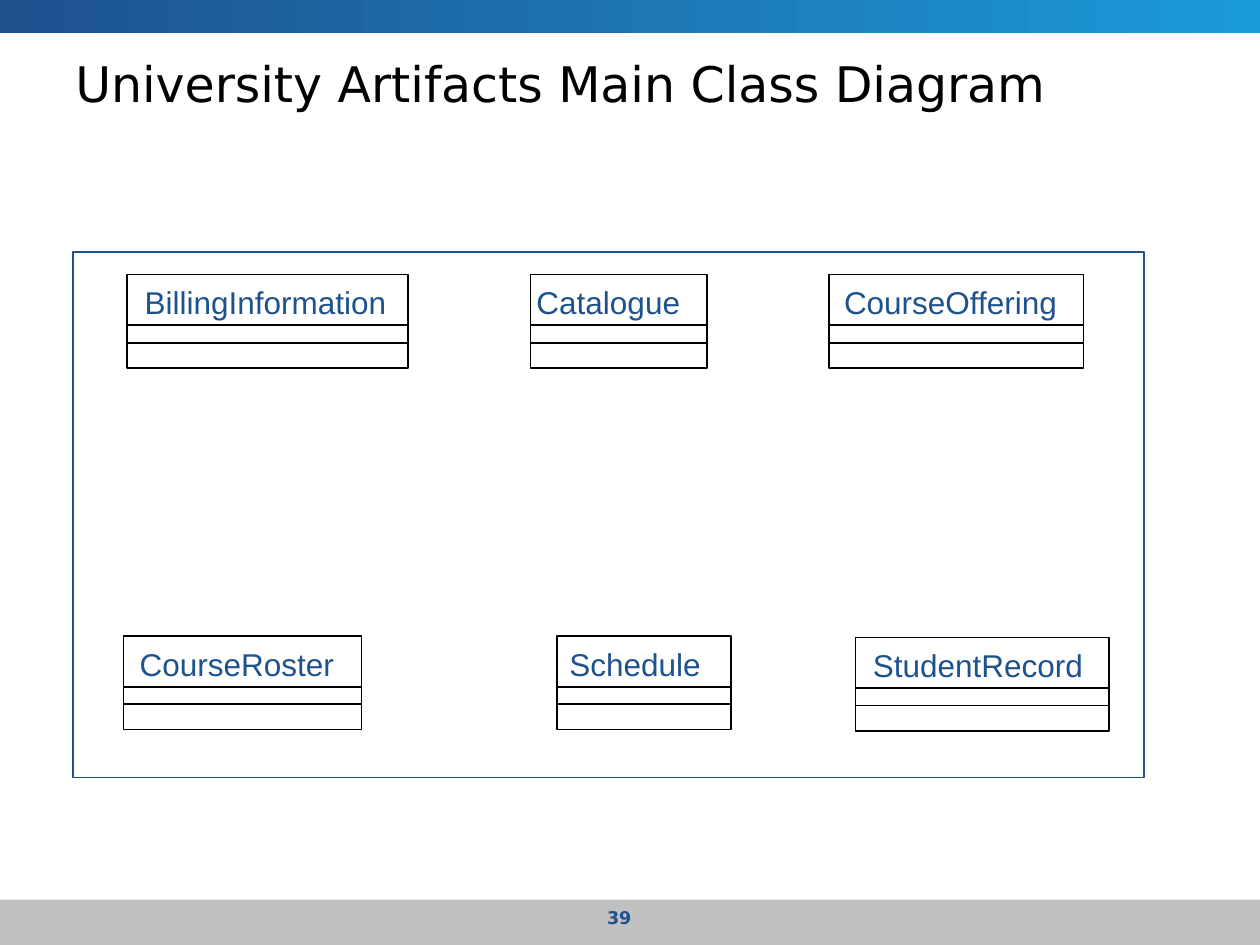
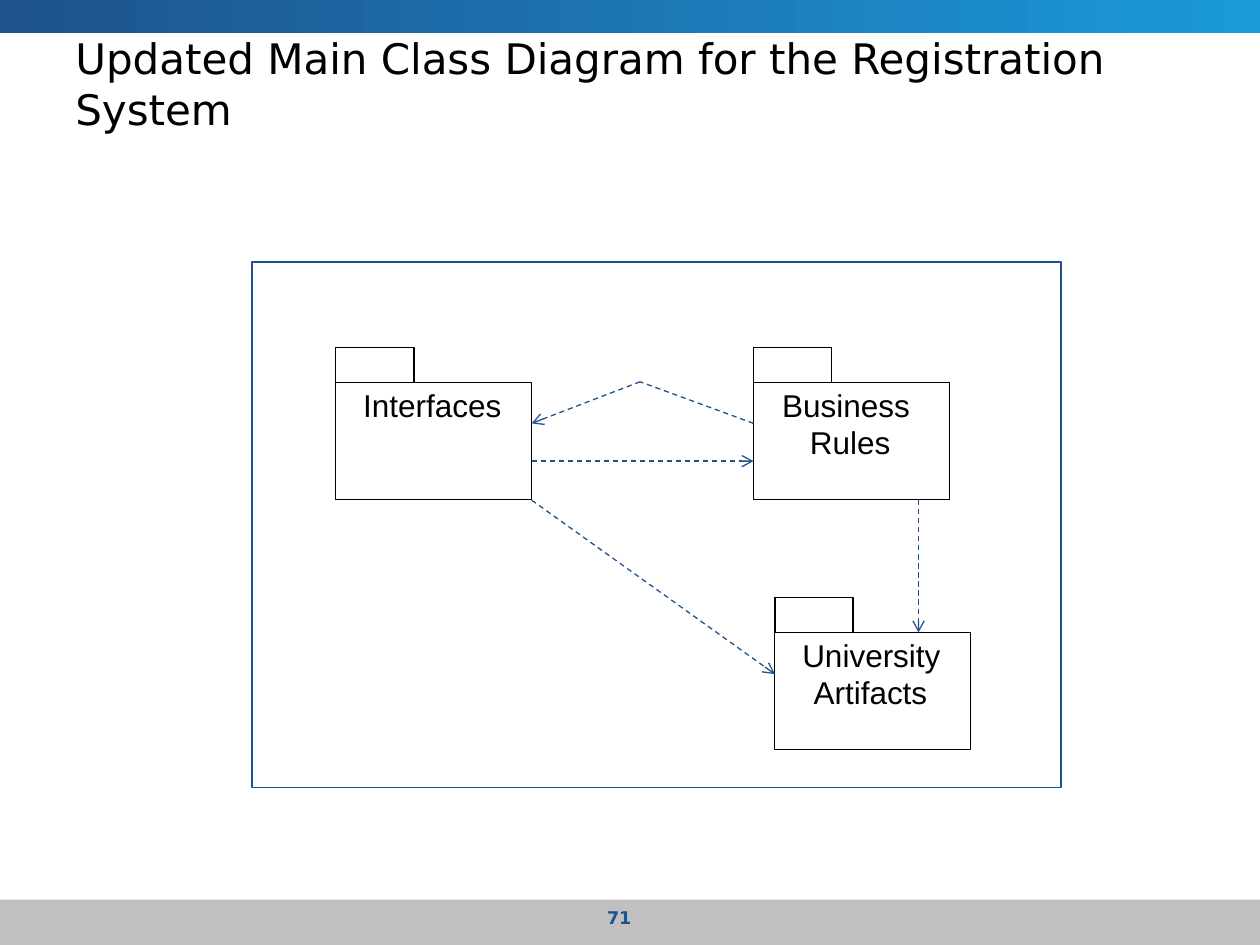
from dataclasses import dataclass

from lxml.etree import SubElement
from pptx import Presentation
from pptx.dml.color import RGBColor as RGB
from pptx.enum.dml import MSO_LINE
from pptx.enum.shapes import MSO_CONNECTOR, MSO_SHAPE
from pptx.enum.text import MSO_ANCHOR as ANCHOR, MSO_AUTO_SIZE as AUTO, PP_ALIGN as ALIGN
from pptx.oxml.ns import qn
from pptx.util import Inches, Pt

COLORS = {"navy": "1D528D", "sky": "1B9AD9", "black": "000000", "white": "FFFFFF", "gray": "C0C0C0"}
HEAD_FONT, BODY_FONT = "DejaVu Sans", "Arial"
COLS, ROWS = 100, 75
WIDTH, HEIGHT = Inches(10), Inches(7.5)
FRAME_H = 41.7
CLASS_H, CLASS_LABEL_H, CLASS_DIVIDERS = 7.4, 4, (4, 5.4)
BODY_W, BODY_H = 15.55, 9.3
TAB_W, TAB_H = 6.2, 2.8
LINE_H, LINE_PITCH = 3, 2.9


@dataclass(frozen=True)
class Box:
    """A rectangle in grid columns and rows."""
    x: float
    y: float
    w: float
    h: float


@dataclass(frozen=True)
class UmlClass:
    """A class box with its name and the indent of that name."""
    name: str
    x: float
    y: float
    w: float
    indent: float
    label_w: float


@dataclass(frozen=True)
class Package:
    """A package body with the words of its name and their widths."""
    x: float
    y: float
    words: tuple[tuple[str, float], ...]


@dataclass(frozen=True)
class Dependency:
    """A dashed line from one grid point to another."""
    start: tuple[float, float]
    end: tuple[float, float]
    arrow: bool = True


CLASSES = (
    UmlClass("BillingInformation", 10.1, 21.8, 22.3, 0.4, 21.4),
    UmlClass("Catalogue", 42.1, 21.8, 14, -0.5, 13.6),
    UmlClass("CourseOffering", 65.8, 21.8, 20.2, 0.2, 19.2),
    UmlClass("CourseRoster", 9.8, 50.5, 18.9, 0.3, 17.6),
    UmlClass("Schedule", 44.2, 50.5, 13.8, 0, 12.6),
    UmlClass("StudentRecord", 67.9, 50.6, 20.1, 0.4, 18.9),
)
PACKAGES = (
    Package(61.5, 50.2, (("University", 11.2), ("Artifacts", 9.4))),
    Package(26.65, 30.35, (("Interfaces", 11.2),)),
    Package(59.8, 30.35, (("Business", 11), ("Rules", 6.6))),
)
DEPENDENCIES = (
    Dependency((59.8, 33.6), (50.8, 30.3), arrow=False),
    Dependency((50.8, 30.3), (42.2, 33.6)),
    Dependency((42.2, 36.6), (59.8, 36.6)),
    Dependency((42.2, 39.7), (61.5, 53.5)),
    Dependency((72.9, 39.7), (72.9, 50.2)),
)


def col(n: float) -> int:
    """Length of n grid columns."""
    return round(WIDTH * n / COLS)


def row(n: float) -> int:
    """Length of n grid rows."""
    return round(HEIGHT * n / ROWS)


def color(name: str) -> RGB:
    """Look up a named colour."""
    return RGB.from_string(COLORS[name])


def place(box: Box) -> tuple[int, int, int, int]:
    """Turn a grid box into slide lengths."""
    return col(box.x), row(box.y), col(box.w), row(box.h)


def add_rect(s, box: Box, fill: str | None = None, line: str | None = None, width: float = 0.75):
    """Draw a rectangle with an optional fill and outline."""
    sp = s.shapes.add_shape(MSO_SHAPE.RECTANGLE, *place(box))
    sp.shadow.inherit = False
    if fill:
        sp.fill.solid()
        sp.fill.fore_color.rgb = color(fill)
    else:
        sp.fill.background()
    if line:
        sp.line.color.rgb = color(line)
        sp.line.width = Pt(width)
    else:
        sp.line.fill.background()
    return sp


def add_text(s, box: Box, text: str, size: float, tint: str, font: str = BODY_FONT, bold: bool = False):
    """Write one paragraph in a text box and return its frame."""
    tf = s.shapes.add_textbox(*place(box)).text_frame
    tf.word_wrap = True
    tf.text = text
    f = tf.paragraphs[0].runs[0].font
    f.size, f.name, f.bold = Pt(size), font, bold
    f.color.rgb = color(tint)
    return tf


def add_label(s, box: Box, text: str, tint: str):
    """Write a diagram label that grows with its text."""
    tf = add_text(s, box, text, 18, tint)
    tf.word_wrap = False
    tf.auto_size = AUTO.SHAPE_TO_FIT_TEXT
    return tf


def add_line(s, start: tuple[float, float], end: tuple[float, float], tint: str, width: float):
    """Draw a straight connector without a shadow."""
    (x1, y1), (x2, y2) = start, end
    cx = s.shapes.add_connector(MSO_CONNECTOR.STRAIGHT, col(x1), row(y1), col(x2), row(y2))
    cx.line.color.rgb = color(tint)
    cx.line.width = Pt(width)
    SubElement(cx._element.spPr, qn("a:effectLst"))
    return cx


def add_class(s, c: UmlClass) -> None:
    """Draw a class box with its name and two dividers."""
    add_rect(s, Box(c.x, c.y, c.w, CLASS_H), line="black", width=1)
    add_label(s, Box(c.x + c.indent, c.y + 0.2, c.label_w, CLASS_LABEL_H), c.name, "navy")
    for dy in CLASS_DIVIDERS:
        add_line(s, (c.x, c.y + dy), (c.x + c.w, c.y + dy), "black", 1)


def add_package(s, pkg: Package) -> None:
    """Draw a package with its tab and centred words."""
    add_rect(s, Box(pkg.x, pkg.y, BODY_W, BODY_H), line="black", width=0)
    add_rect(s, Box(pkg.x, pkg.y - TAB_H, TAB_W, TAB_H), line="black", width=0)
    for i, (word, w) in enumerate(pkg.words):
        box = Box(pkg.x + (BODY_W - w) / 2, pkg.y + 0.3 + i * LINE_PITCH, w, LINE_H)
        tf = add_label(s, box, word, "black")
        tf.margin_left = tf.margin_right = tf.margin_top = tf.margin_bottom = 0


def add_dependency(s, d: Dependency) -> None:
    """Draw a dashed dependency, with an open arrowhead if wanted."""
    cx = add_line(s, d.start, d.end, "navy", 0.75)
    cx.line.dash_style = MSO_LINE.DASH
    if d.arrow:
        SubElement(cx.line._get_or_add_ln(), qn("a:tailEnd"), type="arrow")


def add_slide(prs, title: str, size: float, number: int):
    """Add a slide with bands, title and page number."""
    s = prs.slides.add_slide(prs.slide_layouts[6])
    add_rect(s, Box(0, 71.4, COLS, 3.6), "gray")
    band = add_rect(s, Box(0, 0, COLS, 2.6))
    band.fill.gradient()
    band.fill.gradient_angle = 0
    for stop, name, pos in zip(band.fill.gradient_stops, ("navy", "sky"), (0, 1)):
        stop.color.rgb = color(name)
        stop.position = pos
    tf = add_text(s, Box(5, 3.5, 90, 6.2), title, size, "black", HEAD_FONT)
    tf.vertical_anchor = ANCHOR.MIDDLE
    tf = add_text(s, Box(37.5, 71.5, 23.3, 2.8), str(number), 10, "navy", HEAD_FONT, True)
    tf.paragraphs[0].alignment = ALIGN.CENTER
    return s


def main() -> None:
    """Build both slides and save them."""
    prs = Presentation()
    prs.slide_width, prs.slide_height = WIDTH, HEIGHT

    s = add_slide(prs, "University Artifacts Main Class Diagram", 28, 39)
    add_rect(s, Box(5.8, 20, 85, FRAME_H), "white", "navy")
    for c in CLASSES:
        add_class(s, c)

    s = add_slide(prs, "Updated Main Class Diagram for the Registration System", 24, 71)
    add_rect(s, Box(20, 20.8, 64.2, FRAME_H), "white", "navy")
    for pkg in PACKAGES:
        add_package(s, pkg)
    for d in DEPENDENCIES:
        add_dependency(s, d)

    prs.save("out.pptx")


if __name__ == "__main__":
    main()
